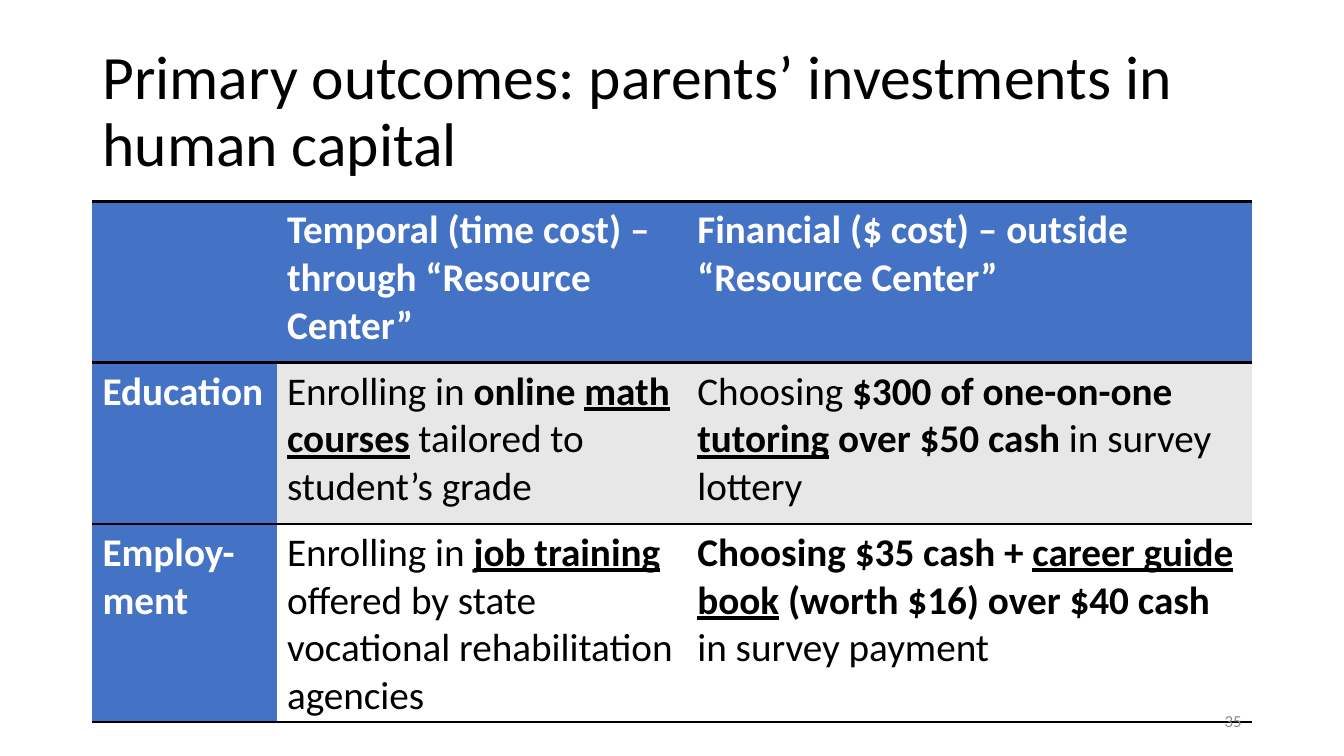
from pptx import Presentation
from pptx.dml.color import RGBColor as RGB
from pptx.enum.text import MSO_ANCHOR as ANCHOR, PP_ALIGN as ALIGN
from pptx.oxml import parse_xml
from pptx.oxml.ns import nsdecls
from pptx.util import Cm, Pt

FONT = "Calibri"
COLORS = {"text": "000000", "light": "FFFFFF", "blue": "4472C4",
          "band": "E7E7E7", "number": "8C8C8C", "rule": "000000"}
NO_GRID_STYLE = "{2D5ABB26-0587-4C30-8999-92F81FD0307C}"

COL_WIDTHS = [4.65, 10.34, 14.22]
ROW_HEIGHTS = [4.06, 4.06, 5.0]
# A cell is a list of (text, style) runs; style holds b for bold, u for underline.
ROWS = [
    [[],
     [("Temporal (time cost) – through “Resource Center”", "b")],
     [("Financial ($ cost) – outside “Resource Center”", "b")]],
    [[("Education", "b")],
     [("Enrolling in ", ""), ("online ", "b"), ("math courses", "bu"),
      (" tailored to student’s grade", "")],
     [("Choosing ", ""), ("$300 of one-on-one ", "b"), ("tutoring", "bu"),
      (" over $50 cash ", "b"), ("in survey lottery", "")]],
    [[("Employ-ment", "b")],
     [("Enrolling in ", ""), ("job training", "bu"),
      (" offered by state vocational rehabilitation agencies", "")],
     [("Choosing $35 cash + ", "b"), ("career guide book", "bu"),
      (" (worth $16) over $40 cash ", "b"), ("in survey payment", "")]],
]


def add_run(p, text, size=28, color="text", bold=False, underline=False):
    r = p.add_run()
    r.text = text
    f = r.font
    f.name, f.size, f.bold, f.underline = FONT, Pt(size), bold, underline
    f.color.rgb = RGB.from_string(COLORS[color])


def add_text(s, box, text, align=ALIGN.LEFT, spacing=1.0, **fmt):
    tf = s.shapes.add_textbox(*map(Cm, box)).text_frame
    tf.word_wrap = True
    tf.vertical_anchor = ANCHOR.MIDDLE
    p = tf.paragraphs[0]
    p.alignment, p.line_spacing = align, spacing
    add_run(p, text, **fmt)


def add_rules(cell, sides):
    """Draw black lines on the given sides of a cell, listed top first."""
    for i, side in enumerate(sides):
        cell._tc.get_or_add_tcPr().insert(i, parse_xml(
            f'<a:ln{side} {nsdecls("a")} w="{Pt(2)}"><a:solidFill>'
            f'<a:srgbClr val="{COLORS["rule"]}"/></a:solidFill></a:ln{side}>'))


def add_outcomes_table(s, box):
    frame = s.shapes.add_table(len(ROWS), len(COL_WIDTHS), *map(Cm, box))
    table = frame.table
    table._tbl.tblPr.find("{*}tableStyleId").text = NO_GRID_STYLE
    for col, width in zip(table.columns, COL_WIDTHS):
        col.width = Cm(width)
    for i, (row, height) in enumerate(zip(ROWS, ROW_HEIGHTS)):
        table.rows[i].height = Cm(height)
        for j, runs in enumerate(row):
            cell = table.cell(i, j)
            heading = i == 0 or j == 0
            fill = "blue" if heading else "band" if i % 2 else "light"
            cell.fill.solid()
            cell.fill.fore_color.rgb = RGB.from_string(COLORS[fill])
            add_rules(cell, ["TB", "T", "B"][i])
            for text, style in runs:
                add_run(cell.text_frame.paragraphs[0], text,
                        color="light" if heading else "text",
                        bold="b" in style, underline="u" in style)


def main():
    prs = Presentation()
    prs.slide_width, prs.slide_height = Cm(33.87), Cm(19.05)
    s = prs.slides.add_slide(prs.slide_layouts[6])
    left, width = 2.33, sum(COL_WIDTHS)
    add_text(s, (left, 1.01, width, 3.68),
             "Primary outcomes: parents’ investments in human capital",
             spacing=0.9, size=44)
    add_outcomes_table(s, (left, 5.08, width, sum(ROW_HEIGHTS)))
    add_text(s, (left + width - 7.62, 17.66, 7.62, 1.01), "35",
             align=ALIGN.RIGHT, size=12, color="number")
    prs.save("out.pptx")


if __name__ == "__main__":
    main()
